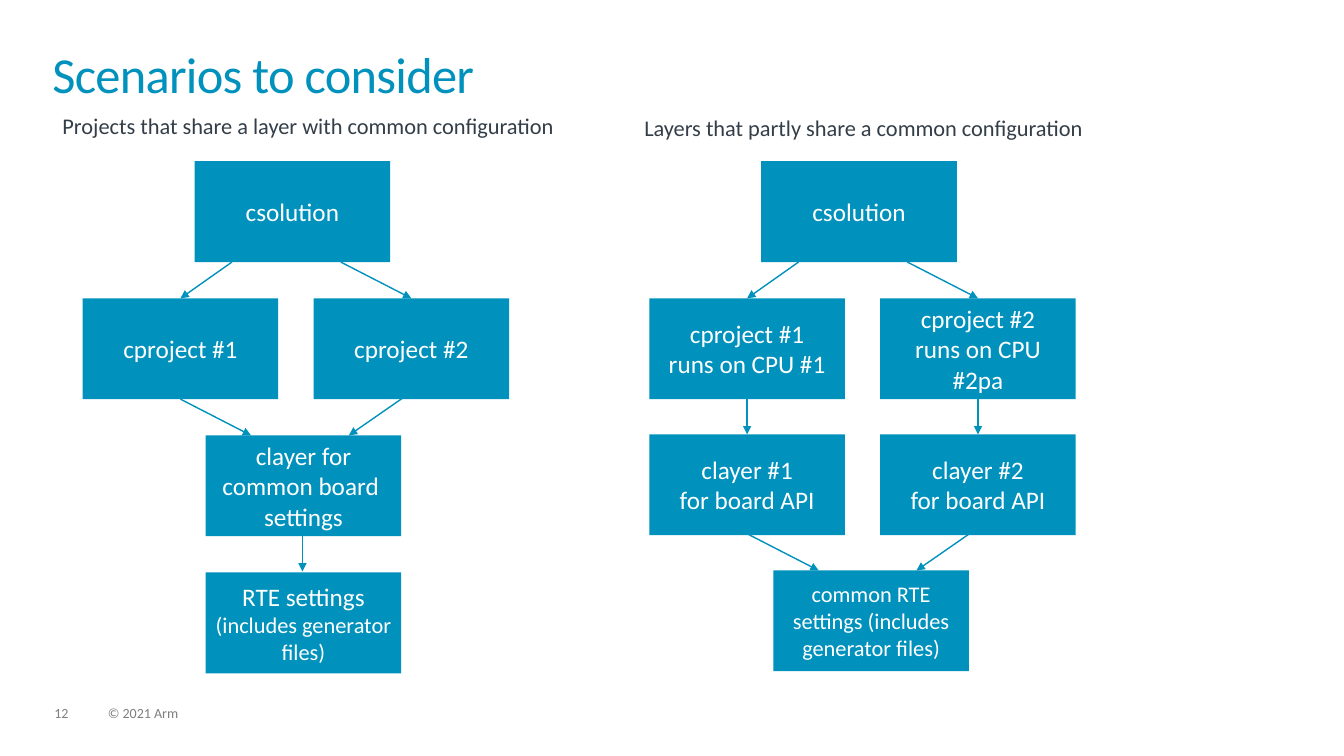
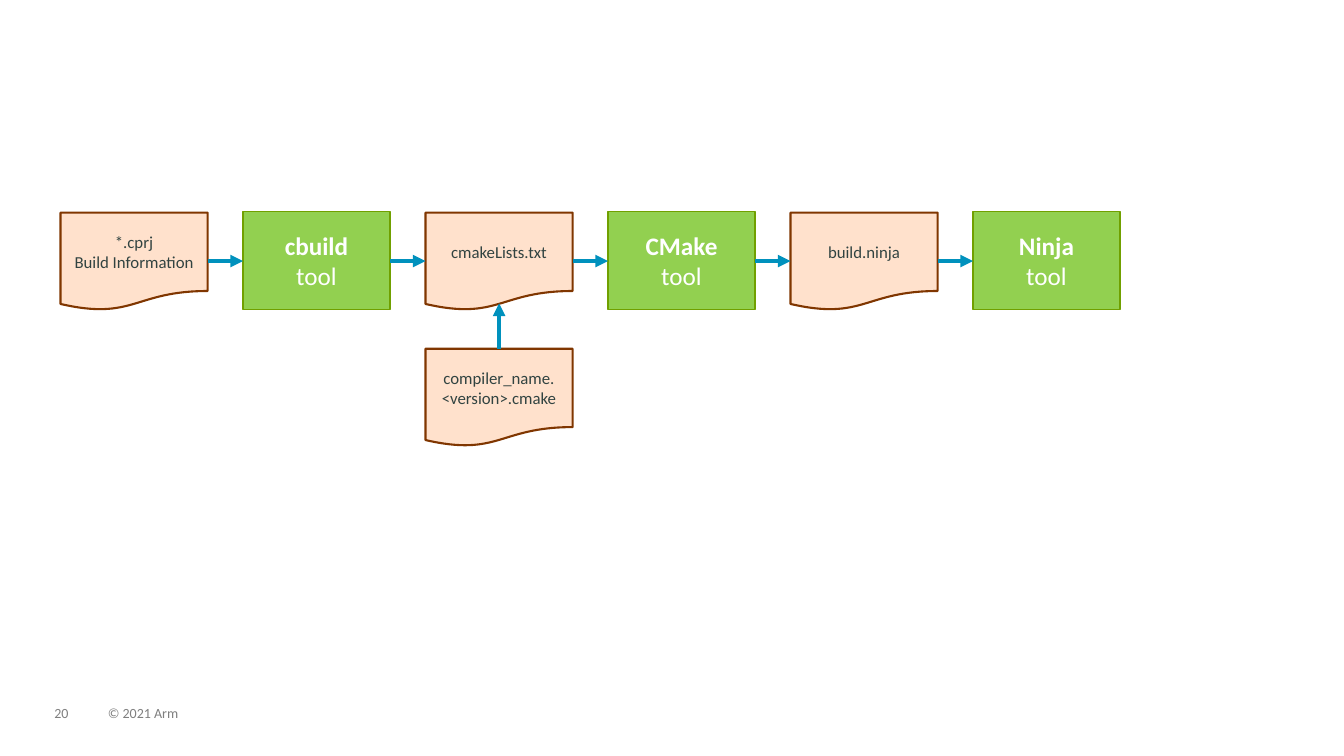
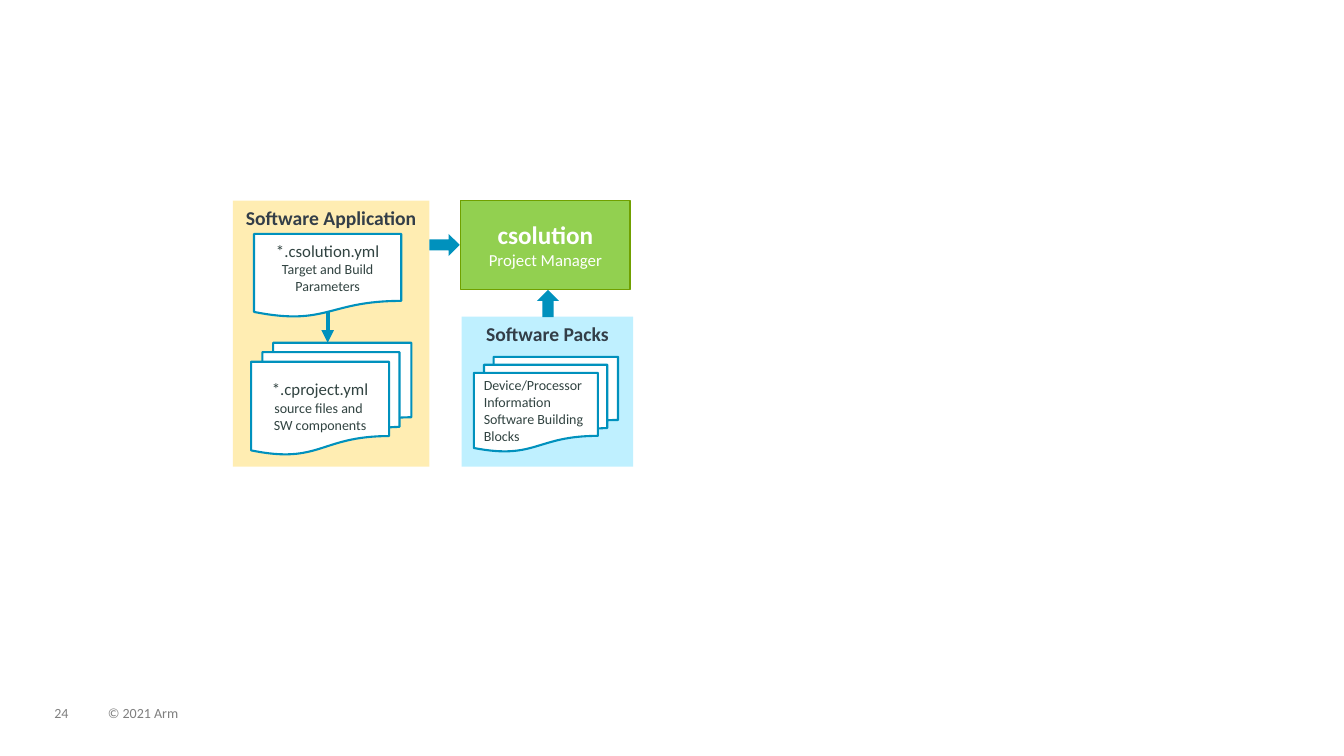
from pptx import Presentation
from pptx.dml.color import RGBColor as Rgb
from pptx.enum.shapes import MSO_CONNECTOR as Connector, MSO_SHAPE as Preset
from pptx.enum.text import MSO_ANCHOR as Anchor, PP_ALIGN as Align
from pptx.oxml.ns import qn
from pptx.oxml.xmlchemy import OxmlElement as Element
from pptx.util import Pt

PX = 9144
FONT = "Calibri"
COLORS = {
    "blue": "0091BD", "white": "FFFFFF", "slate": "333E48", "ink": "314341",
    "gray": "7F7F7F", "peach": "FFE1CC", "brown": "803600", "green": "92D050",
    "olive": "70A000", "yellow": "FFDD66", "sky": "BFF0FF",
}
TEXT = {
    "title": ("blue", {"size": Pt(36)}),
    "caption": ("slate", {"size": Pt(16)}),
    "footer": ("gray", {"size": Pt(10)}),
    "box": ("white", {"size": Pt(18)}),
    "box_small": ("white", {"size": Pt(16)}),
    "tool": ("white", {"size": Pt(18), "bold": True}),
    "tool_note": ("white", {"size": Pt(12)}),
    "panel": ("slate", {"size": Pt(14), "bold": True}),
    "file": ("ink", {"size": Pt(12)}),
    "file_note": ("ink", {"size": Pt(10)}),
}
FRAMES = {
    "flush": {"margin_left": 0, "margin_right": 0, "margin_top": 0, "margin_bottom": 0,
              "vertical_anchor": Anchor.TOP},
    "middle": {"vertical_anchor": Anchor.MIDDLE},
    "top": {"vertical_anchor": Anchor.TOP},
    "document": {"margin_left": 0, "margin_right": 0, "vertical_anchor": Anchor.MIDDLE},
}
BOX_WIDTH, BOX_HEIGHT = 194, 100
STEP_WIDTH, STEP_HEIGHT, STEP_PITCH = 146, 97, 181


def apply(target, values):
    for name, value in values.items():
        setattr(target, name, value)


def emu(*lengths):
    return [length * PX for length in lengths]


def rgb(name):
    return Rgb.from_string(COLORS[name])


def write(shape, paragraphs, frame, **paragraph_format):
    text_frame = shape.text_frame
    apply(text_frame, {"word_wrap": True, **FRAMES[frame]})
    for index, runs in enumerate(paragraphs):
        paragraph = text_frame.add_paragraph() if index else text_frame.paragraphs[0]
        apply(paragraph, paragraph_format)
        for text, style in runs:
            color, font_format = TEXT[style]
            for number, line in enumerate(text.split("\n")):
                if number:
                    paragraph.add_line_break()
                if line:
                    run = paragraph.add_run()
                    run.text = line
                    apply(run.font, {"name": FONT, **font_format})
                    run.font.color.rgb = rgb(color)


def add_label(slide, box, text, style, line_spacing=0.9):
    shape = slide.shapes.add_textbox(*emu(*box))
    write(shape, [[(text, style)]], "flush", line_spacing=line_spacing)
    return shape


def add_block(slide, preset, box, fill, line=None, width=1.0, paragraphs=(),
              frame="middle", alignment=Align.CENTER):
    shape = slide.shapes.add_shape(preset, *emu(*box))
    shape.shadow.inherit = False
    shape.fill.solid()
    shape.fill.fore_color.rgb = rgb(fill)
    if line:
        shape.line.color.rgb = rgb(line)
        shape.line.width = Pt(width)
    else:
        shape.line.fill.background()
    write(shape, paragraphs, frame, alignment=alignment)
    return shape


def add_arrow(slide, start, end, width=1):
    arrow = slide.shapes.add_connector(Connector.STRAIGHT, *emu(*start, *end))
    arrow.line.color.rgb = rgb("blue")
    arrow.line.width = Pt(width)
    properties = arrow.element.spPr
    head = Element("a:tailEnd")
    head.set("type", "triangle")
    properties.find(qn("a:ln")).append(head)
    properties.append(Element("a:effectLst"))


def add_title(slide, text):
    title = add_label(slide, (52, 52, 1228, 72), text, "title", 0.85)
    for run in title.text_frame.paragraphs[0].runs:
        run.font._element.set("spc", "-50")


def add_footer(slide, number):
    add_label(slide, (54, 701, 34, 15), str(number), "footer")
    add_label(slide, (107, 701, 507, 15), "© 2021 Arm", "footer")


def add_node(slide, left, top, *runs):
    add_block(slide, Preset.RECTANGLE, (left, top, BOX_WIDTH, BOX_HEIGHT), "blue",
              paragraphs=[runs])


def add_pair(slide, left, top, texts):
    for index, text in enumerate(texts):
        add_node(slide, left + 229 * index, top, (text, "box"))


def add_solution(slide, left, top, projects):
    add_node(slide, left + 111, top, ("csolution", "box"))
    add_pair(slide, left, top + 136, projects)
    for start, end in ((148, 97), (256, 326)):
        add_arrow(slide, (left + start, top + 100), (left + end, top + 136))


def add_merge(slide, left, top, *runs):
    add_node(slide, left + 122, top, *runs)
    for start, rise, end in ((97, 36, 167), (323, 41, 264)):
        add_arrow(slide, (left + start, top - rise), (left + end, top))


def add_drop(slide, center, top):
    add_arrow(slide, (center, top - 45), (center, top))


def add_shared_layer(slide, left, top):
    add_solution(slide, left, top, ("cproject #1", "cproject #2"))
    add_merge(slide, left, top + 272, ("clayer for common board \nsettings", "box"))
    add_node(slide, left + 122, top + 408, ("RTE settings\n", "box"),
             ("(includes generator files)", "box_small"))
    add_drop(slide, left + 218, top + 407)


def add_partly_shared_layers(slide, left, top):
    add_solution(slide, left, top,
                 ("cproject #1\nruns on CPU #1", "cproject #2\nruns on CPU #2pa"))
    add_pair(slide, left, top + 271,
             ("clayer #1\nfor board API", "clayer #2\nfor board API"))
    for center in (97, 326):
        add_drop(slide, left + center, top + 271)
    add_merge(slide, left + 1, top + 406,
              ("common RTE settings (includes generator files)", "box_small"))


def add_tool(slide, box, name, note, note_style):
    shape = add_block(slide, Preset.RECTANGLE, box, "green", "olive",
                      paragraphs=[[(name + "\n", "tool"), (note, note_style)]])
    return shape


def add_document(slide, box, fill, line, *runs):
    add_block(slide, Preset.FLOWCHART_DOCUMENT, box, fill, line, 1.5, [runs], "document")


def add_build_flow(slide, left, top):
    steps = (("*.cprj\nBuild Information", "cbuild"), ("cmakeLists.txt", "CMake"),
             ("build.ninja", "Ninja"))
    for index, (file_text, tool) in enumerate(steps):
        file_left = left + 2 * index * STEP_PITCH
        tool_left = file_left + STEP_PITCH
        add_document(slide, (file_left, top + 1, STEP_WIDTH, STEP_HEIGHT),
                     "peach", "brown", (file_text, "file"))
        add_tool(slide, (tool_left, top, STEP_WIDTH, STEP_HEIGHT), tool, "tool", "box")
    for index in range(2 * len(steps) - 1):
        start = left + index * STEP_PITCH + STEP_WIDTH
        add_arrow(slide, (start, top + 49), (left + (index + 1) * STEP_PITCH, top + 49), 3)
    compiler_left = left + 2 * STEP_PITCH
    add_document(slide, (compiler_left, top + 136, STEP_WIDTH, STEP_HEIGHT),
                 "peach", "brown", ("compiler_name.\n<version>.cmake", "file"))
    center = compiler_left + STEP_WIDTH // 2
    add_arrow(slide, (center, top + 136), (center, top + 91), 3)


def add_panel(slide, box, fill, heading):
    return add_block(slide, Preset.RECTANGLE, box, fill,
                     paragraphs=[[(heading, "panel")]], frame="top")


def add_file_stack(slide, box, paragraphs, alignment):
    add_block(slide, Preset.FLOWCHART_MULTIDOCUMENT, box, "white", "blue", 1.5,
              paragraphs, alignment=alignment)


def add_application(slide, left, top):
    panel = add_panel(slide, (left, top, 195, 264), "yellow", "Software Application")
    alpha = Element("a:alpha")
    alpha.set("val", "50000")
    panel.element.spPr.find(qn("a:solidFill"))[0].append(alpha)
    add_document(slide, (left + 21, top + 33, 146, 83), "white", "blue",
                 ("*.csolution.yml\n", "file"),
                 ("Target and Build\nParameters", "file_note"))
    add_file_stack(slide, (left + 18, top + 141, 159, 111),
                   [[("*.cproject.yml\n", "file"),
                     ("source files and \nSW components", "file_note")]], Align.CENTER)
    add_arrow(slide, (left + 94, top + 110), (left + 94, top + 141), 3)


def add_packs(slide, left, top):
    add_panel(slide, (left, top, 170, 149), "sky", "Software Packs")
    add_file_stack(slide, (left + 12, top + 40, 143, 94),
                   [[("Device/Processor\nInformation", "file_note")],
                    [("Software Building\nBlocks", "file_note")]], Align.LEFT)


def add_project_manager(slide, left, top):
    add_application(slide, left, top)
    add_packs(slide, left + 227, top + 115)
    add_tool(slide, (left + 226, top, 168, 88), "csolution", "Project Manager", "tool_note")
    for x, y, width, rotation in ((195, 33, 30, 0), (299, 91, 27, 270)):
        arrow = add_block(slide, Preset.RIGHT_ARROW, (left + x, top + y, width, 22), "blue")
        arrow.rotation = rotation


def build_scenarios(slide):
    add_title(slide, "Scenarios to consider")
    add_label(slide, (62, 114, 530, 24),
              "Projects that share a layer with common configuration", "caption")
    add_label(slide, (639, 116, 457, 24),
              "Layers that partly share a common configuration", "caption")
    add_shared_layer(slide, 82, 160)
    add_partly_shared_layers(slide, 644, 160)


def build_flow(slide):
    add_build_flow(slide, 60, 210)


def build_manager(slide):
    add_project_manager(slide, 231, 199)


def main():
    presentation = Presentation()
    apply(presentation, {"slide_width": 1333 * PX, "slide_height": 750 * PX})
    blank = presentation.slide_layouts[6]
    for number, build in ((12, build_scenarios), (20, build_flow), (24, build_manager)):
        slide = presentation.slides.add_slide(blank)
        add_footer(slide, number)
        build(slide)
    presentation.save("out.pptx")


if __name__ == "__main__":
    main()
